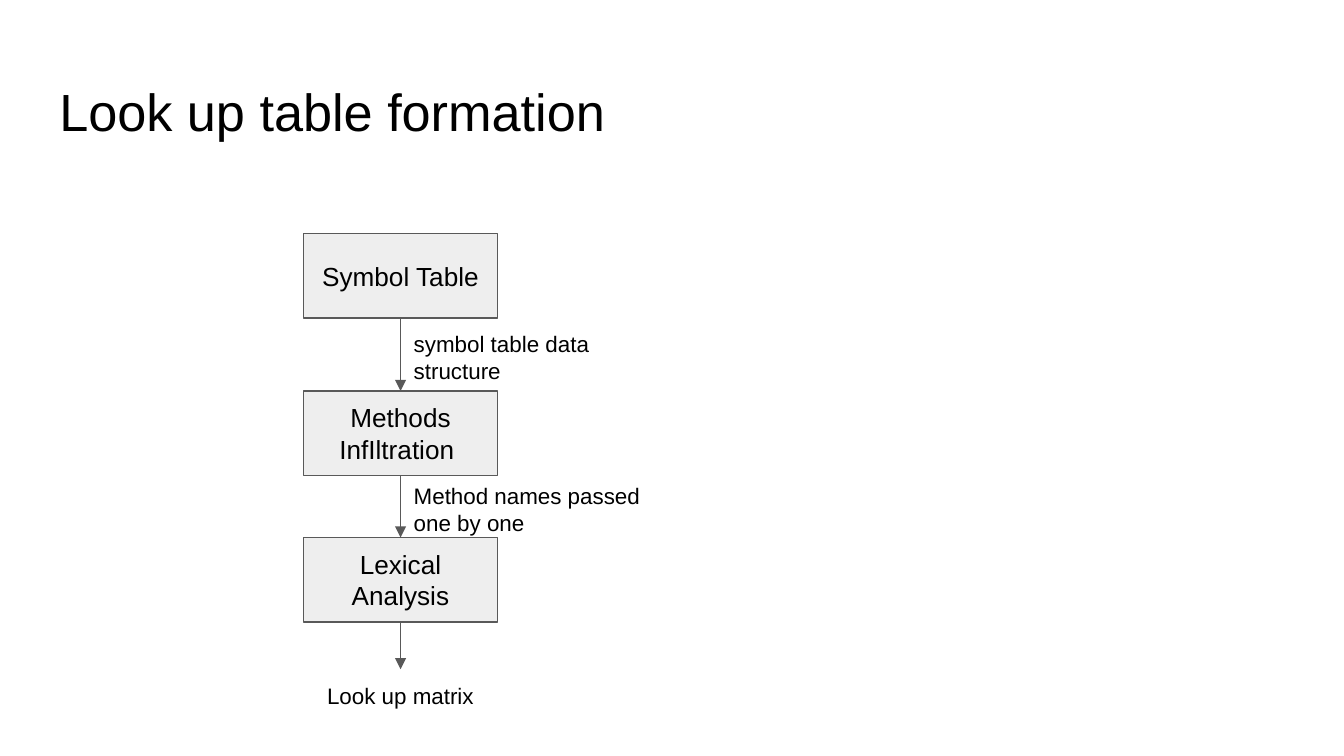
from dataclasses import dataclass

from lxml import etree
from pptx import Presentation
from pptx.dml.color import RGBColor
from pptx.enum.shapes import MSO_CONNECTOR, MSO_SHAPE
from pptx.enum.text import MSO_ANCHOR, PP_ALIGN
from pptx.oxml.ns import qn
from pptx.util import Cm, Pt

RECTANGLE = MSO_SHAPE.RECTANGLE
STRAIGHT = MSO_CONNECTOR.STRAIGHT
TOP, MIDDLE = MSO_ANCHOR.TOP, MSO_ANCHOR.MIDDLE
LEFT, CENTER = PP_ALIGN.LEFT, PP_ALIGN.CENTER
TOP_SITE, BOTTOM_SITE = 0, 2


@dataclass(frozen=True)
class Theme:
    """Colours, font and type sizes of the slide."""
    text: RGBColor = RGBColor(0, 0, 0)
    fill: RGBColor = RGBColor(0xEE, 0xEE, 0xEE)
    line: RGBColor = RGBColor(0x59, 0x59, 0x59)
    font: str = "Arial"
    title_size: Pt = Pt(28)
    step_size: Pt = Pt(14)
    label_size: Pt = Pt(12)
    line_width: Pt = Pt(0.75)


THEME = Theme()
STEP_LEFT, STEP_WIDTH, STEP_HEIGHT = Cm(5.74), Cm(3.66), Cm(1.6)
AXIS = STEP_LEFT + STEP_WIDTH // 2
LABEL_WIDTH, LABEL_HEIGHT = Cm(4.95), Cm(1.17)
OUTPUT_TOP = Cm(12.65)
STEPS = [
    ("Symbol Table", Cm(4.41)),
    ("Methods InfIltration ", Cm(7.39)),
    ("Lexical Analysis", Cm(10.16)),
]
HANDOVERS = [
    ("symbol table data structure", Cm(6)),
    ("Method names passed one by one", Cm(8.86)),
]


def write_text(shape, text, size, align, anchor):
    """Fill a shape with one formatted paragraph."""
    frame = shape.text_frame
    frame.word_wrap = True
    frame.vertical_anchor = anchor
    frame.margin_left = frame.margin_right = Cm(0.25)
    frame.margin_top = frame.margin_bottom = Cm(0.25)
    paragraph = frame.paragraphs[0]
    paragraph.text = text
    paragraph.alignment = align
    paragraph.font.name = THEME.font
    paragraph.font.size = size
    paragraph.font.color.rgb = THEME.text


def set_title(slide, text):
    """Place and format the title placeholder."""
    title = slide.shapes.title
    title.left, title.top = Cm(0.87), Cm(1.24)
    title.width, title.height = Cm(23.67), Cm(1.6)
    write_text(title, text, THEME.title_size, LEFT, TOP)


def add_step(slide, text, top):
    """Add one process box and return it."""
    step = slide.shapes.add_shape(RECTANGLE, STEP_LEFT, top, STEP_WIDTH, STEP_HEIGHT)
    step.shadow.inherit = False
    step.fill.solid()
    step.fill.fore_color.rgb = THEME.fill
    step.line.color.rgb = THEME.line
    step.line.width = THEME.line_width
    write_text(step, text, THEME.step_size, CENTER, MIDDLE)
    return step


def add_arrow(slide, source, target=None):
    """Add a downward arrow from a step to the next one or to the output."""
    arrow = slide.shapes.add_connector(
        STRAIGHT, AXIS, source.top + source.height, AXIS, OUTPUT_TOP)
    arrow.begin_connect(source, BOTTOM_SITE)
    if target is not None:
        arrow.end_connect(target, TOP_SITE)
    arrow.line.color.rgb = THEME.line
    arrow.line.width = THEME.line_width
    etree.SubElement(arrow.line._get_or_add_ln(), qn("a:tailEnd"), type="triangle")
    etree.SubElement(arrow._element.spPr, qn("a:effectLst"))


def add_label(slide, text, left, top, width, align=LEFT):
    """Add a small text label."""
    label = slide.shapes.add_textbox(left, top, width, LABEL_HEIGHT)
    write_text(label, text, THEME.label_size, align, TOP)


def main():
    """Build the slide and save it."""
    presentation = Presentation()
    presentation.slide_width, presentation.slide_height = Cm(25.4), Cm(14.29)
    slide = presentation.slides.add_slide(presentation.slide_layouts[5])
    set_title(slide, "Look up table formation")
    steps = [add_step(slide, text, top) for text, top in STEPS]
    for source, target in zip(steps, steps[1:] + [None]):
        add_arrow(slide, source, target)
    for text, top in HANDOVERS:
        add_label(slide, text, AXIS, top, LABEL_WIDTH)
    add_label(slide, "Look up matrix", STEP_LEFT, OUTPUT_TOP, STEP_WIDTH, CENTER)
    presentation.save("out.pptx")


if __name__ == "__main__":
    main()
